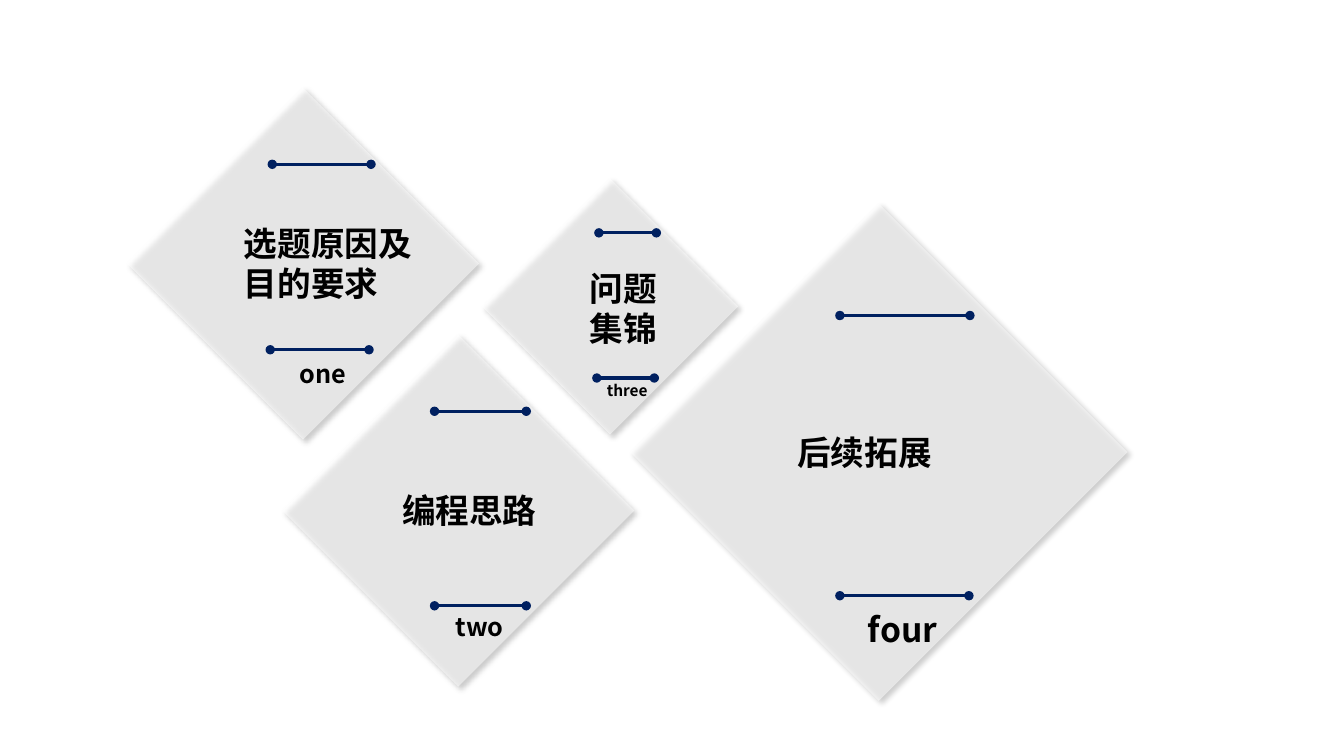
import pptx
import pptx.util
import pptx.dml.color
import pptx.enum.shapes
import pptx.enum.text
import pptx.oxml
import pptx.oxml.ns
from lxml import etree

Inches = pptx.util.Inches
RGBColor = pptx.dml.color.RGBColor
qn = pptx.oxml.ns.qn

WHITE = RGBColor(0xFF, 0xFF, 0xFF)
BLACK = RGBColor(0, 0, 0)
NAVY = RGBColor(0x00, 0x20, 0x60)
FONT = "Noto Sans CJK SC"
SHADOW = (
    f'<a:effectLst {pptx.oxml.ns.nsdecls("a")}>'
    '<a:outerShdw blurRad="50800" dist="38100" dir="2700000" algn="tl" rotWithShape="0">'
    '<a:prstClr val="black"><a:alpha val="40000"/></a:prstClr>'
    '</a:outerShdw></a:effectLst>'
)

deck = pptx.Presentation()
deck.slide_width = Inches(13.33)
deck.slide_height = Inches(7.5)
slide = deck.slides.add_slide(deck.slide_layouts[6])
shapes = slide.shapes


def add_text(text, box, size, wrap):
    frame = shapes.add_textbox(*map(Inches, box)).text_frame
    frame.word_wrap = wrap
    frame.auto_size = pptx.enum.text.MSO_AUTO_SIZE.SHAPE_TO_FIT_TEXT
    para = frame.paragraphs[0]
    para.text = text
    font = para.font
    font.size = pptx.util.Pt(size)
    font.bold = True
    font.color.rgb = BLACK
    font.name = FONT
    etree.SubElement(font._element.find(".//" + qn("a:defRPr")) if font._element.tag != qn("a:defRPr") else font._element,
                     qn("a:ea"), typeface=FONT)


tiles = [(1.77, 1.38, 2.47), (3.31, 3.83, 2.47), (5.15, 2.14, 1.8), (6.97, 2.74, 3.49)]
for left, top, side in tiles:
    tile = shapes.add_shape(pptx.enum.shapes.MSO_SHAPE.RECTANGLE,
                            *map(Inches, (left, top, side, side)))
    tile.rotation = 45
    tile.fill.solid()
    tile.fill.fore_color.rgb = WHITE
    tile.line.fill.background()
    props = tile._element.spPr
    etree.SubElement(props.find(".//" + qn("a:srgbClr")), qn("a:alpha"), val="50000")
    props.append(pptx.oxml.parse_xml(SHADOW))

rules = [
    (2.68, 3.47, 0.98), (5.92, 3.75, 0.57), (4.31, 6.01, 0.91), (8.33, 5.91, 1.28),
    (2.7, 1.63, 0.98), (5.94, 2.31, 0.57), (8.33, 3.13, 1.29), (4.31, 4.08, 0.91),
]
for left, top, width in rules:
    rule = shapes.add_connector(pptx.enum.shapes.MSO_CONNECTOR.STRAIGHT,
                                *map(Inches, (left, top, left + width, top)))
    rule.line.color.rgb = NAVY
    rule.line.width = pptx.util.Pt(2.25)
    props = rule._element.spPr
    for end in ("a:headEnd", "a:tailEnd"):
        etree.SubElement(props.find(qn("a:ln")), qn(end), type="oval")
    etree.SubElement(props, qn("a:effectLst"))

labels = [
    ("one", (2.87, 3.51, 0.68, 0.4), 18),
    ("two", (4.42, 6.02, 0.69, 0.4), 18),
    ("three", (5.92, 3.73, 0.61, 0.29), 11),
    ("four", (8.51, 5.99, 0.92, 0.5), 24),
]
for text, box, size in labels:
    add_text(text, box, size, False)

topics = [
    ("选题原因及目的要求", (2.32, 2.16, 1.99, 0.9)),
    ("编程思路", (3.89, 4.81, 2.12, 0.5)),
    ("问题集锦", (5.75, 2.61, 0.95, 0.9)),
    ("后续拓展", (7.81, 4.24, 2.65, 0.5)),
]
for text, box in topics:
    add_text(text, box, 24, True)

deck.save("out.pptx")
